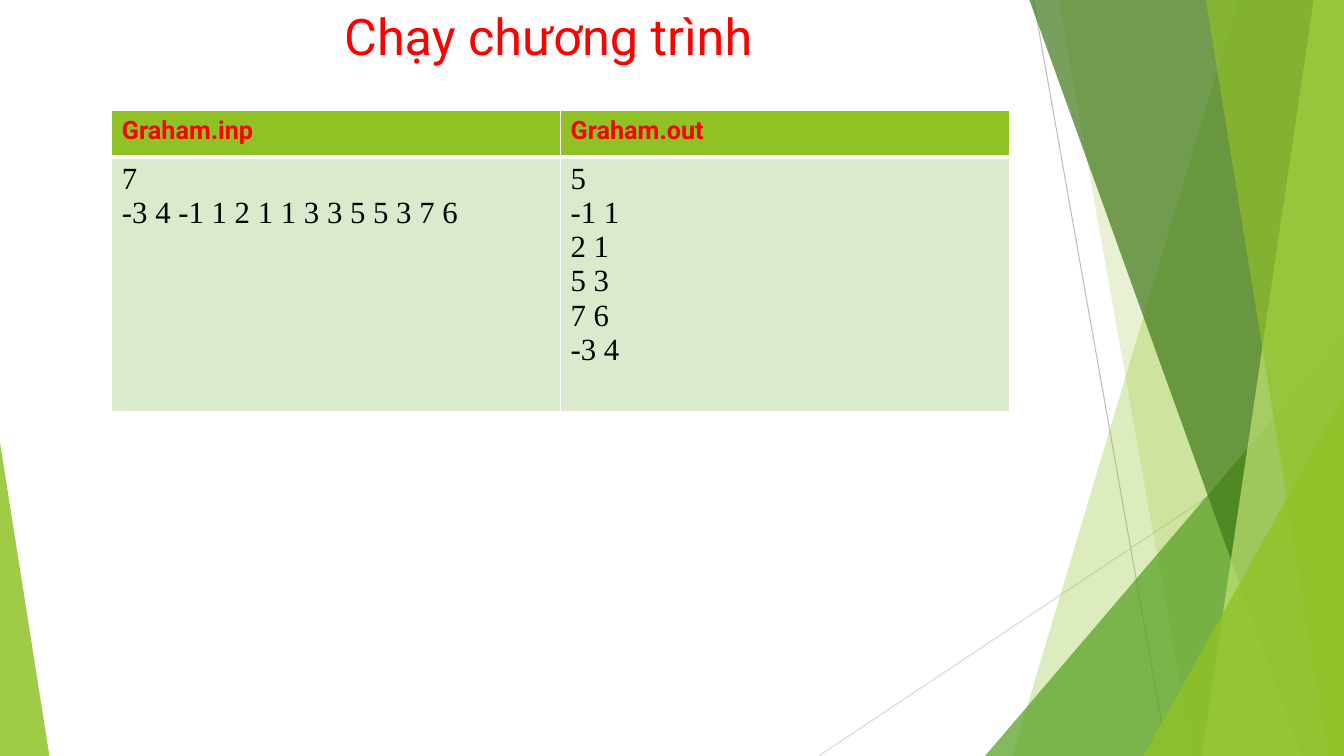
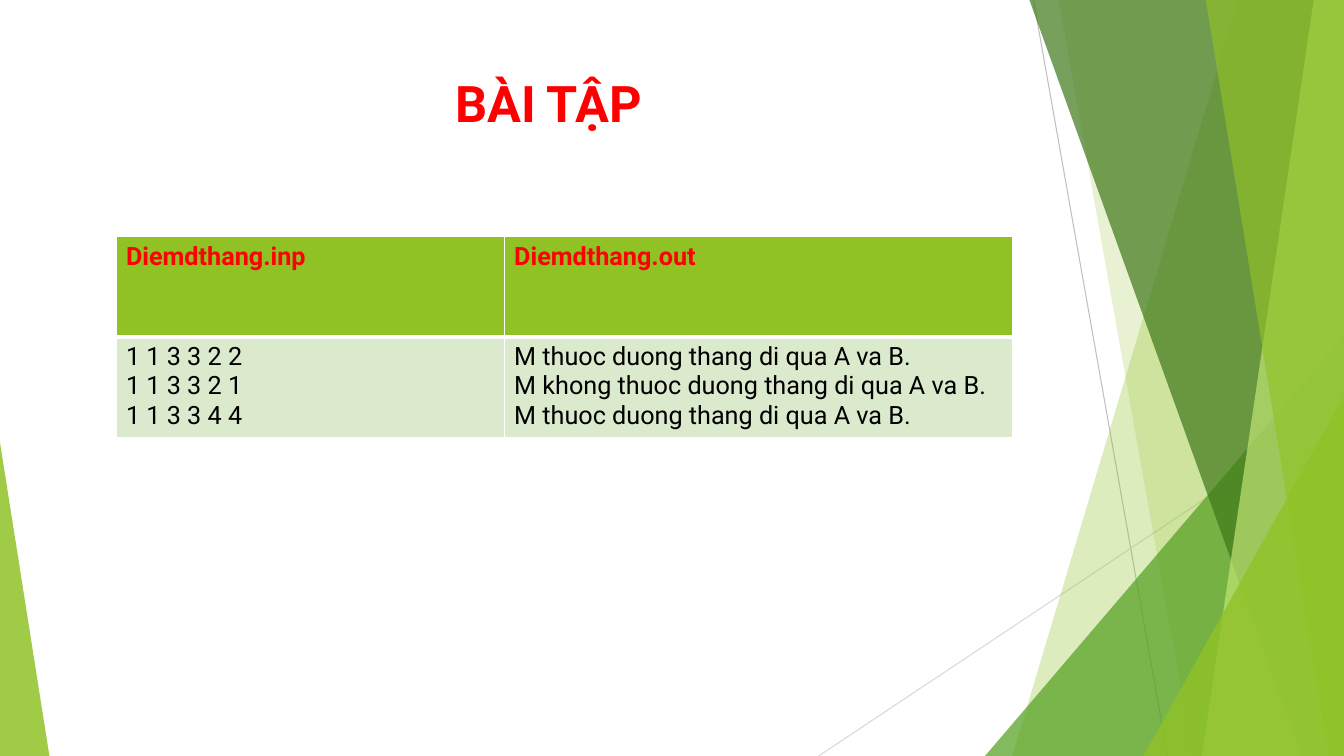
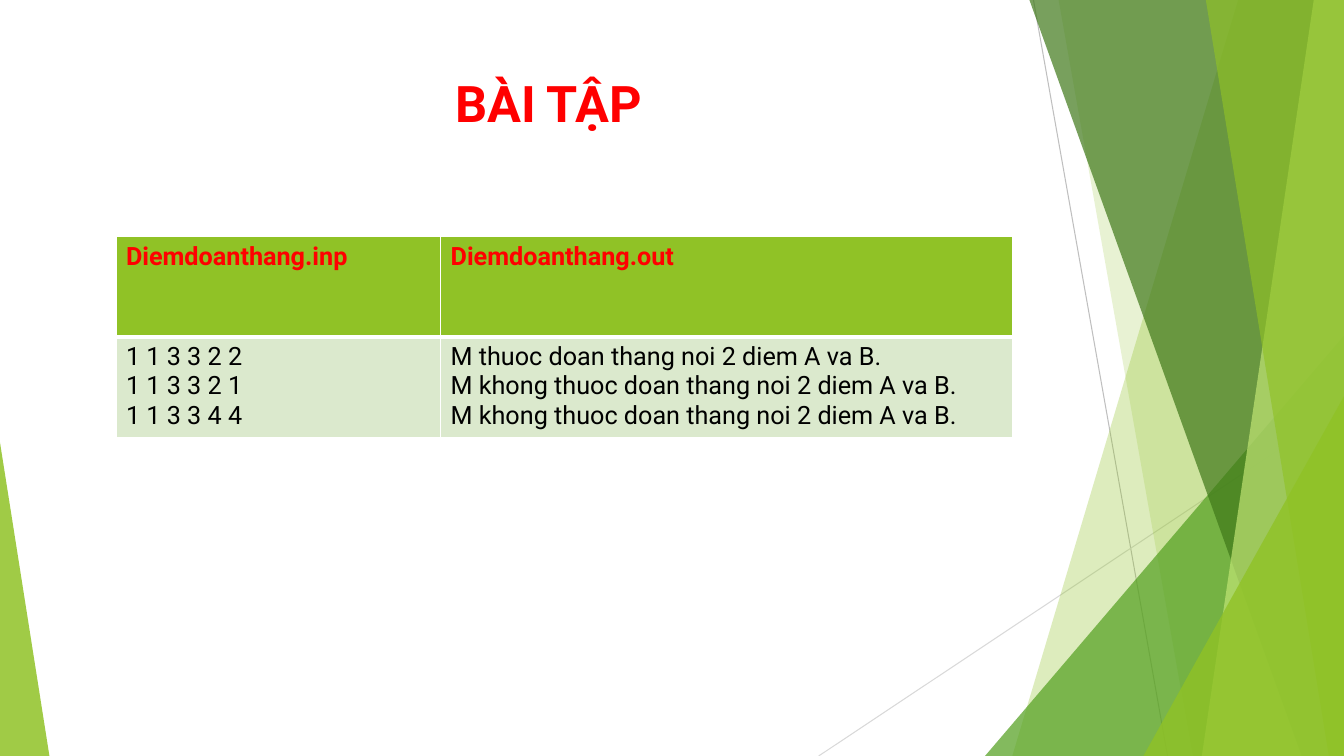
from pptx import Presentation
from pptx.dml.color import RGBColor
from pptx.enum.shapes import MSO_CONNECTOR, MSO_SHAPE
from pptx.enum.text import MSO_ANCHOR, PP_ALIGN
from pptx.oxml.ns import qn
from pptx.util import Inches, Pt
from lxml import etree

LINE = MSO_CONNECTOR.STRAIGHT
TRIANGLE = MSO_SHAPE.ISOSCELES_TRIANGLE
TOP = MSO_ANCHOR.TOP
LEFT, CENTER = PP_ALIGN.LEFT, PP_ALIGN.CENTER

WIDTH, HEIGHT = 13.33, 7.5
COLORS = {
    "lime": "90C226",
    "pale": "C0E474",
    "green": "54A021",
    "dark": "3F7819",
    "row": "DBE9CD",
    "white": "FFFFFF",
    "red": "FF0000",
    "black": "000000",
    "steep_line": "BFBFBF",
    "flat_line": "D9D9D9",
}
TITLE = {"name": "Roboto", "size": Pt(36), "bold": True, "color": "red"}
HEAD = {"name": "Roboto", "size": Pt(18), "bold": True, "color": "red"}
BODY = {"name": "Roboto", "size": Pt(18), "bold": False, "color": "black"}


def rgb(name):
    return RGBColor.from_string(COLORS[name])


class Deck:
    def __init__(self):
        self.prs = Presentation()
        self.prs.slide_width = Inches(WIDTH)
        self.prs.slide_height = Inches(HEIGHT)
        self.s = None

    def slide(self):
        self.s = self.prs.slides.add_slide(self.prs.slide_layouts[6])
        self.line(10.25, 0, 11.58, HEIGHT, "steep_line")
        self.line(WIDTH, 4.03, 8.12, HEIGHT, "flat_line")
        self.panel(12.28, 10.04, "lime", 30)
        self.panel(10.5, 11.83, "lime", 20)
        self.triangle(9.77, 3.33, 3.56, 1, "green", 72)
        self.panel(10.21, 12.91, "dark", 70)
        self.panel(13.03, 11.92, "pale", 70)
        self.panel(11.96, 13.18, "lime", 65)
        self.triangle(11.34, 3.93, 1.99, 1, "lime", 80)
        self.triangle(0, 4.39, 0.49, 0, "lime", 85)

    def line(self, x1, y1, x2, y2, color):
        c = self.s.shapes.add_connector(LINE, Inches(x1), Inches(y1), Inches(x2), Inches(y2))
        c.line.color.rgb = rgb(color)
        c.line.width = Pt(0.75)
        etree.SubElement(c.element.spPr, qn("a:effectLst"))

    def paint(self, sp, color, opacity):
        sp.shadow.inherit = False
        sp.line.fill.background()
        sp.fill.solid()
        sp.fill.fore_color.rgb = rgb(color)
        clr = sp.element.spPr.xpath("a:solidFill/a:srgbClr")[0]
        etree.SubElement(clr, qn("a:alpha")).set("val", str(opacity * 1000))

    def panel(self, top_x, bottom_x, color, opacity):
        fb = self.s.shapes.build_freeform(Inches(top_x), 0)
        corners = [(WIDTH, 0), (WIDTH, HEIGHT), (bottom_x, HEIGHT)]
        fb.add_line_segments([(Inches(x), Inches(y)) for x, y in corners], close=True)
        self.paint(fb.convert_to_shape(), color, opacity)

    def triangle(self, x, y, w, apex, color, opacity):
        sp = self.s.shapes.add_shape(TRIANGLE, Inches(x), Inches(y), Inches(w), Inches(HEIGHT - y))
        sp.adjustments[0] = apex
        self.paint(sp, color, opacity)

    def text(self, tf, lines, style, align=LEFT):
        for i, line in enumerate(lines):
            p = tf.paragraphs[0] if i == 0 else tf.add_paragraph()
            p.alignment = align
            r = p.add_run()
            r.text = line
            for key, value in style.items():
                if key == "color":
                    r.font.color.rgb = rgb(value)
                else:
                    setattr(r.font, key, value)

    def title(self, text, y=0.67, **changes):
        tb = self.s.shapes.add_textbox(Inches(0.74), Inches(y), Inches(9.4), Inches(1.44))
        tf = tb.text_frame
        tf.word_wrap = True
        tf.vertical_anchor = TOP
        self.text(tf, [text], {**TITLE, **changes}, CENTER)

    def borders(self, cell, widths):
        tcPr = cell._tc.get_or_add_tcPr()
        for side, width in widths.items():
            ln = etree.SubElement(tcPr, qn(f"a:ln{side}"), w=str(Pt(width)))
            fill = etree.SubElement(ln, qn("a:solidFill"))
            etree.SubElement(fill, qn("a:srgbClr"), val=COLORS["white"])

    def table(self, x, y, cols, rows, heads, bodies, **changes):
        frame = self.s.shapes.add_table(
            2, len(cols), Inches(x), Inches(y), Inches(sum(cols)), Inches(sum(rows)))
        tbl = frame.table
        tbl.horz_banding = False
        for column, w in zip(tbl.columns, cols):
            column.width = Inches(w)
        for row, h in zip(tbl.rows, rows):
            row.height = Inches(h)
        bands = [
            ([[head] for head in heads], HEAD, "lime", {"L": 1, "R": 1, "T": 1, "B": 3}),
            (bodies, {**BODY, **changes}, "row", {"L": 1, "R": 1, "T": 3, "B": 1}),
        ]
        for i, (texts, style, color, widths) in enumerate(bands):
            for j, lines in enumerate(texts):
                cell = tbl.cell(i, j)
                self.borders(cell, widths)
                cell.fill.solid()
                cell.fill.fore_color.rgb = rgb(color)
                self.text(cell.text_frame, lines, style)

    def exercise(self, name, cols, answers):
        self.slide()
        self.title("BÀI TẬP")
        inputs = ["1 1 3 3 2 2", "1 1 3 3 2 1", "1 1 3 3 4 4"]
        self.table(1.15, 2.35, cols, [0.99, 0.99],
                   [f"{name}.inp", f"{name}.out"], [inputs, answers])


def main():
    deck = Deck()

    deck.slide()
    deck.title("Chạy chương trình", y=0, bold=False)
    deck.table(
        1.11, 1.1, [4.45, 4.45], [0.46, 2.52],
        ["Graham.inp", "Graham.out"],
        [["7", "-3 4 -1 1 2 1 1 3 3 5 5 3 7 6"],
         ["5", "-1 1", "2 1", "5 3", "7 6", "-3 4"]],
        name="Times New Roman", size=Pt(22))

    deck.exercise("Diemdthang", [3.85, 5.04], [
        "M thuoc duong thang di qua A va B.",
        "M khong thuoc duong thang di qua A va B.",
        "M thuoc duong thang di qua A va B.",
    ])

    deck.exercise("Diemdoanthang", [3.22, 5.67], [
        "M thuoc doan thang noi 2 diem A va B.",
        "M khong thuoc doan thang noi 2 diem A va B.",
        "M khong thuoc doan thang noi 2 diem A va B.",
    ])

    deck.prs.save("out.pptx")


if __name__ == "__main__":
    main()
